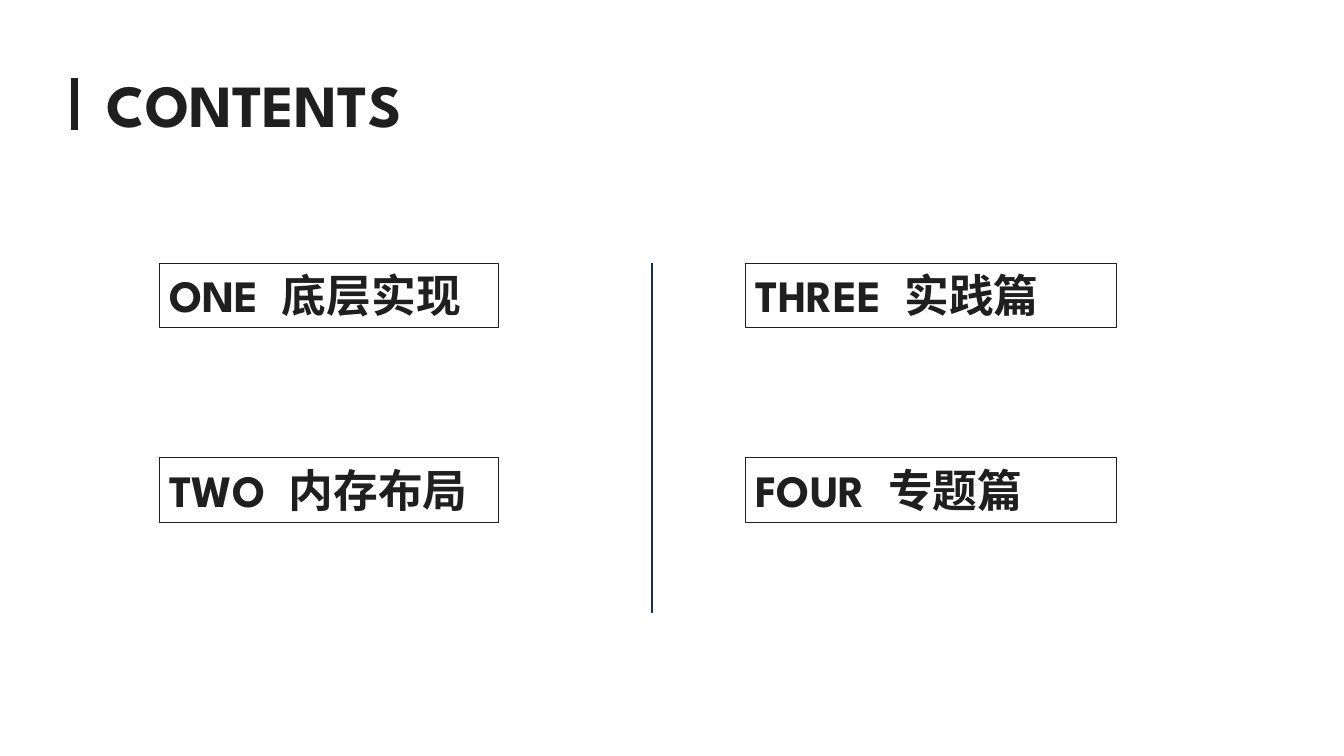
from lxml.etree import SubElement
from pptx import Presentation
from pptx.dml.color import RGBColor
from pptx.enum.shapes import MSO_CONNECTOR, MSO_SHAPE
from pptx.enum.text import MSO_ANCHOR, MSO_AUTO_SIZE, PP_ALIGN
from pptx.oxml.ns import qn
from pptx.util import Inches, Pt

FONT = "League Spartan"
INK = "1F1F1F"
NAVY = "103154"
CHAPTERS = [
    [("ONE", "底层实现"), ("TWO", "内存布局")],
    [("THREE", "实践篇"), ("FOUR", "专题篇")],
]
COLUMNS = [(1.58, 3.37), (7.4, 3.68)]  # left and width
ROW_TOP, ROW_STEP, ROW_HEIGHT = 2.61, 1.93, 0.64


def color(hex_value):
    return RGBColor.from_string(hex_value)


def add_run(paragraph, text, size):
    run = paragraph.add_run()
    run.text = text
    run.font.name = FONT
    run.font.size = Pt(size)
    run.font.bold = True
    run.font.color.rgb = color(INK)
    return run


def add_vertical_line(slide, left, top, height, hex_value, weight):
    line = slide.shapes.add_connector(
        MSO_CONNECTOR.STRAIGHT,
        Inches(left), Inches(top), Inches(left), Inches(top + height))
    line.line.color.rgb = color(hex_value)
    line.line.width = Pt(weight)
    SubElement(line._element.spPr, qn("a:effectLst"))


def add_heading(slide, left, top, width, height):
    bar_height = 0.52
    add_vertical_line(slide, left, top + (height - bar_height) / 2, bar_height, INK, 4.5)
    indent = 0.22
    box = slide.shapes.add_textbox(
        Inches(left + indent), Inches(top), Inches(width - indent), Inches(height))
    box.text_frame.word_wrap = False
    box.text_frame.auto_size = MSO_AUTO_SIZE.SHAPE_TO_FIT_TEXT
    add_run(box.text_frame.paragraphs[0], "CONTENTS", 42.7)


def add_chapter(slide, number, title, left, top, width, height):
    box = slide.shapes.add_shape(
        MSO_SHAPE.RECTANGLE, Inches(left), Inches(top), Inches(width), Inches(height))
    box.shadow.inherit = False
    box.fill.background()
    box.line.color.rgb = color(INK)
    box.line.width = Pt(0.75)
    frame = box.text_frame
    frame.word_wrap = True
    frame.auto_size = MSO_AUTO_SIZE.SHAPE_TO_FIT_TEXT
    frame.vertical_anchor = MSO_ANCHOR.TOP
    paragraph = frame.paragraphs[0]
    paragraph.alignment = PP_ALIGN.LEFT
    add_run(paragraph, number, 32)
    gap = add_run(paragraph, " ", 32)
    gap.font._element.set("spc", "800")  # widens the gap by 8 points
    add_run(paragraph, title, 32)


def add_chapters(slide):
    for (left, width), chapters in zip(COLUMNS, CHAPTERS):
        for row, (number, title) in enumerate(chapters):
            add_chapter(slide, number, title,
                        left, ROW_TOP + row * ROW_STEP, width, ROW_HEIGHT)
    add_vertical_line(slide, 6.47, ROW_TOP, 3.47, NAVY, 1)


def main():
    presentation = Presentation()
    presentation.slide_width = Inches(13.34)
    presentation.slide_height = Inches(7.5)
    slide = presentation.slides.add_slide(presentation.slide_layouts[6])
    add_heading(slide, 0.74, 0.62, 3.4, 0.82)
    add_chapters(slide)
    presentation.save("out.pptx")


if __name__ == "__main__":
    main()
